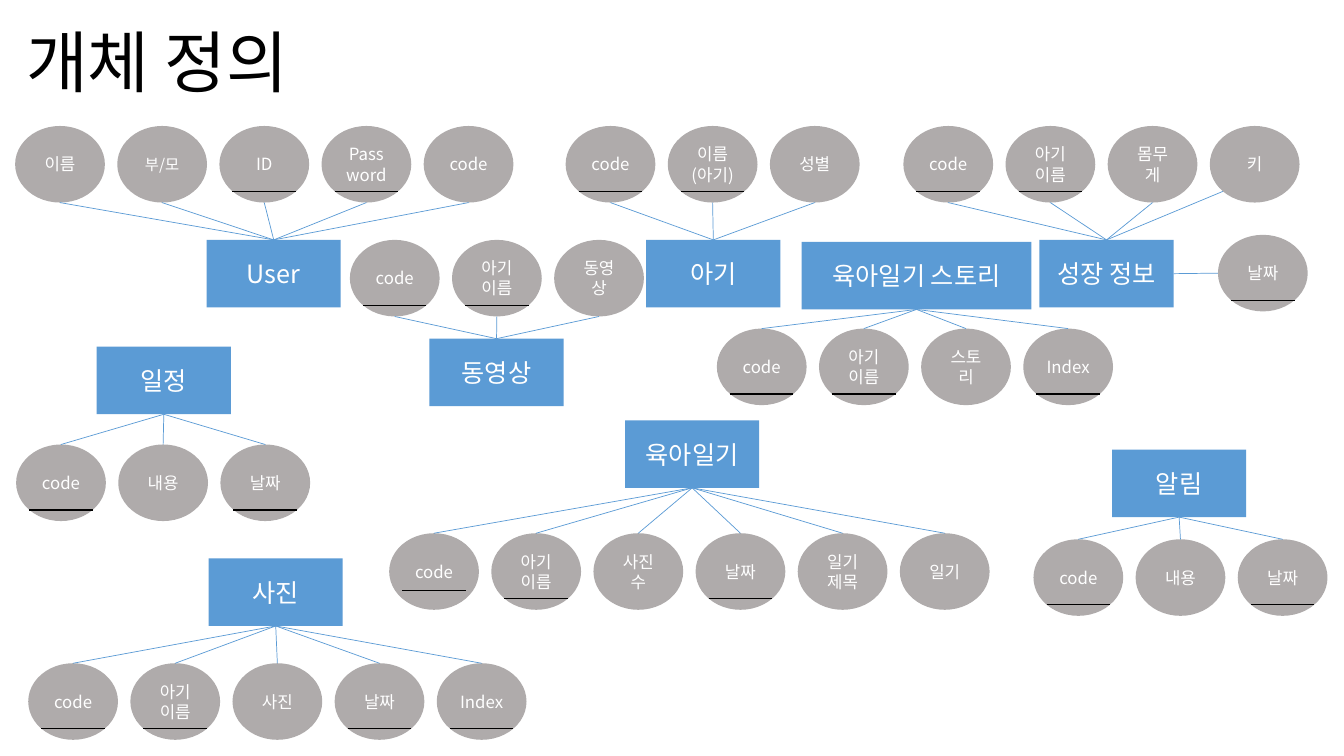
"""Build the entity definition slide: nine entities with their attributes."""
from math import sqrt

from lxml import etree
from pptx import Presentation
from pptx.dml.color import RGBColor
from pptx.enum.shapes import MSO_CONNECTOR, MSO_SHAPE
from pptx.enum.text import MSO_ANCHOR, PP_ALIGN
from pptx.oxml.ns import qn
from pptx.util import Inches, Pt

RECTANGLE, OVAL = MSO_SHAPE.RECTANGLE, MSO_SHAPE.OVAL
STRAIGHT = MSO_CONNECTOR.STRAIGHT
CENTER, MIDDLE = PP_ALIGN.CENTER, MSO_ANCHOR.MIDDLE
TOP, LEFT, BOTTOM, RIGHT = range(4)
FONT = "Noto Sans CJK KR"
BLUE, GRAY, WHITE, BLACK = "5B9BD5", "AFABAB", "FFFFFF", "000000"

ENTITY_WIDTH, ENTITY_HEIGHT = 1.33, 0.67
OVAL_WIDTH, OVAL_HEIGHT, PITCH = 0.89, 0.76, 1.013
KEY_INSET = 0.13
KEY_DROPS = {"*": 0.65, "^": 0.57}

# name, left, top, width, first oval left, oval top, attributes
ENTITIES = [
    ("User", 2.05, 2.38, ENTITY_WIDTH, 0.15, 1.25, ["이름", "부/모", "ID*", "Password*", "code"]),
    ("아기", 6.41, 2.38, ENTITY_WIDTH, 5.61, 1.25, ["code*", "이름(아기)*", "성별"]),
    ("성장 정보", 10.31, 2.38, ENTITY_WIDTH, 8.96, 1.25, ["code*", "아기 이름*", "몸무게", "키"]),
    ("동영상", 4.26, 3.36, ENTITY_WIDTH, 3.47, 2.38, ["code*", "아기 이름*", "동영상"]),
    ("사진", 2.07, 5.54, ENTITY_WIDTH, 0.28, 6.58, ["code*", "아기 이름*", "사진", "날짜*", "Index*"]),
    ("일정", 0.96, 3.44, ENTITY_WIDTH, 0.16, 4.41, ["code*", "내용", "날짜*"]),
    ("육아일기", 6.2, 4.17, ENTITY_WIDTH, 3.86, 5.29,
     ["code^", "아기 이름*", "사진 수", "날짜*", "일기\n제목", "일기"]),
    ("육아일기 스토리", 7.95, 2.4, 2.28, 7.11, 3.26, ["code*", "아기 이름*", "스토리", "Index*"]),
    ("알림", 11.03, 4.46, ENTITY_WIDTH, 10.25, 5.35, ["code*", "내용", "날짜*"]),
]
SIDE_DATE = ("날짜*", 12.08, 2.33)

deck = Presentation()
deck.slide_width, deck.slide_height = Inches(13.33), Inches(7.5)
page = deck.slides.add_slide(deck.slide_layouts[6])


def write(shape, text, size, color, align=None):
    """Set the text of a shape and format every run."""
    shape.text_frame.text = text
    shape.text_frame.word_wrap = True
    for para in shape.text_frame.paragraphs:
        para.alignment = align
        for span in para.runs:
            span.font.size = Pt(size)
            span.font.name = FONT
            span.font.color.rgb = RGBColor.from_string(color)
            east_asian = etree.SubElement(span.font._element, qn("a:ea"))
            east_asian.set("typeface", FONT)


def draw_line(start, end, color, weight):
    """Draw a straight line without a shadow between two points in inches."""
    line = page.shapes.add_connector(STRAIGHT, *map(Inches, start + end))
    line.line.color.rgb = RGBColor.from_string(color)
    line.line.width = Pt(weight)
    etree.SubElement(line._element.spPr, qn("a:effectLst"))
    return line


title = page.shapes.add_textbox(Inches(0.16), Inches(0.15), Inches(4.69), Inches(0.91))
write(title, "개체 정의", 48, BLACK)

boxes = {}
nodes = []
for name, left, top, width, first_left, row_top, attributes in ENTITIES:
    nodes.append((RECTANGLE, name, left, top, width, ENTITY_HEIGHT, BLUE, 18))
    for column, label in enumerate(attributes):
        oval_left = first_left + column * PITCH
        size = 11 if label == "부/모" else 12
        nodes.append((OVAL, label, oval_left, row_top, OVAL_WIDTH, OVAL_HEIGHT, GRAY, size))
nodes.append((OVAL, *SIDE_DATE, OVAL_WIDTH, OVAL_HEIGHT, GRAY, 12))

for kind, label, left, top, width, height, color, size in nodes:
    shape = page.shapes.add_shape(kind, *map(Inches, (left, top, width, height)))
    shape.shadow.inherit = False
    shape.fill.solid()
    shape.fill.fore_color.rgb = RGBColor.from_string(color)
    shape.line.fill.background()
    shape.text_frame.vertical_anchor = MIDDLE
    write(shape, label.rstrip("*^"), size, WHITE, CENTER)
    if kind == RECTANGLE:
        boxes[label] = shape
    if label[-1] in KEY_DROPS:
        key_top = top + KEY_DROPS[label[-1]]
        draw_line((left + KEY_INSET, key_top), (left + width - KEY_INSET, key_top), BLACK, 1)

for name, left, top, width, first_left, row_top, attributes in ENTITIES:
    above = row_top < top
    entity_end = (left + width / 2, top if above else top + ENTITY_HEIGHT)
    for column, label in enumerate(attributes):
        oval_x = first_left + column * PITCH + OVAL_WIDTH / 2
        oval_y = row_top + OVAL_HEIGHT if above else row_top
        if label == "키":
            oval_x -= OVAL_WIDTH / 2 / sqrt(2)
            oval_y = row_top + OVAL_HEIGHT / 2 * (1 + 1 / sqrt(2))
        link = draw_line((oval_x, oval_y), entity_end, BLUE, 0.5)
        link.end_connect(boxes[name], TOP if above else BOTTOM)

date_middle = SIDE_DATE[2] + OVAL_HEIGHT / 2
side_link = draw_line((SIDE_DATE[1], date_middle), (11.64, date_middle), BLUE, 0.5)
side_link.end_connect(boxes["성장 정보"], RIGHT)

deck.save("out.pptx")
